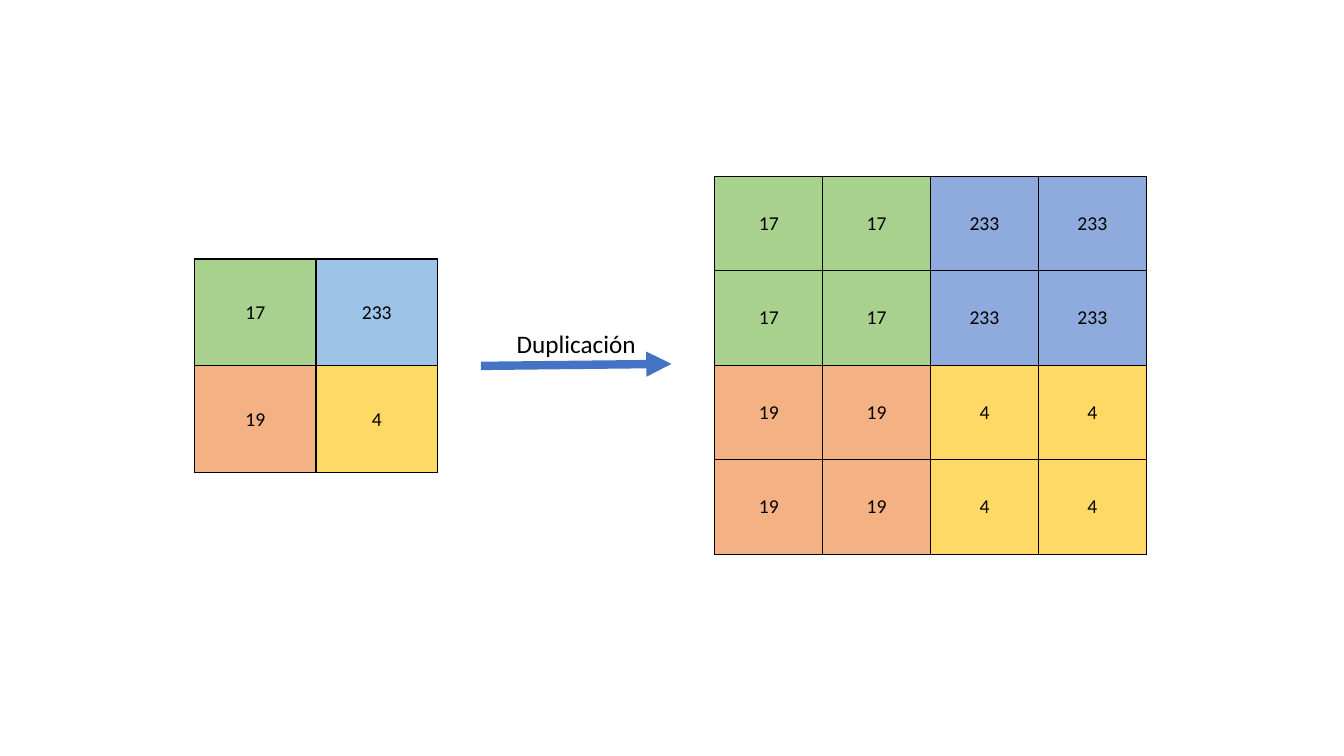
from lxml import etree
from pptx import Presentation
from pptx.dml.color import RGBColor
from pptx.enum import shapes, text
from pptx.oxml import ns
from pptx.util import Inches, Pt

BLACK = "000000"
GREEN, ORANGE, YELLOW = "A9D18E", "F4B183", "FFD966"
LIGHT_BLUE, BLUE, ARROW_BLUE = "9DC3E6", "8FAADC", "4472C4"
PIXELS = [["17", "233"], ["19", "4"]]


def color(value):
    return RGBColor.from_string(value)


def add_element(parent, tag, **attributes):
    return etree.SubElement(parent, ns.qn(tag), attributes)


def write(frame, content, size):
    paragraph = frame.paragraphs[0]
    paragraph.alignment = text.PP_ALIGN.CENTER
    run = paragraph.add_run()
    run.text = content
    for name, value in {"name": "Calibri", "size": Pt(size)}.items():
        setattr(run.font, name, value)
    run.font.color.rgb = color(BLACK)


def add_borders(cell):
    properties = cell._tc.get_or_add_tcPr()
    for side in ("a:lnL", "a:lnR", "a:lnT", "a:lnB"):
        line = add_element(properties, side, w=str(Pt(1)))
        add_element(add_element(line, "a:solidFill"), "a:srgbClr", val=BLACK)


def add_pixel_grid(slide, left, top, width, height, fills, repeat=1):
    """Draw the pixels as a table, each one repeated in both directions."""
    count = len(PIXELS) * repeat
    frame = slide.shapes.add_table(count, count, Inches(left), Inches(top),
                                   Inches(width), Inches(height))
    table = frame.table
    for name in ("first_row", "horz_banding"):
        setattr(table, name, False)
    for row in range(count):
        for column in range(count):
            value = PIXELS[row // repeat][column // repeat]
            cell = table.cell(row, column)
            cell.vertical_anchor = text.MSO_ANCHOR.MIDDLE
            add_borders(cell)
            cell.fill.solid()
            cell.fill.fore_color.rgb = color(fills[value])
            write(cell.text_frame, value, 14)


def add_arrow(slide, start, end):
    arrow = slide.shapes.add_connector(shapes.MSO_CONNECTOR.STRAIGHT,
                                       *map(Inches, start + end))
    arrow.line.color.rgb = color(ARROW_BLUE)
    arrow.line.width = Pt(6)
    add_element(arrow.line._get_or_add_ln(), "a:tailEnd", type="triangle")
    add_element(arrow._element.spPr, "a:effectLst")


def add_label(slide, content, left, top, width, height):
    frame = slide.shapes.add_textbox(Inches(left), Inches(top),
                                     Inches(width), Inches(height)).text_frame
    settings = {"word_wrap": True,
                "auto_size": text.MSO_AUTO_SIZE.SHAPE_TO_FIT_TEXT}
    for name, value in settings.items():
        setattr(frame, name, value)
    write(frame, content, 18)


def main():
    presentation = Presentation()
    presentation.slide_width = Inches(13.33)
    presentation.slide_height = Inches(7.5)
    slide = presentation.slides.add_slide(presentation.slide_layouts[6])

    fills = {"17": GREEN, "233": LIGHT_BLUE, "19": ORANGE, "4": YELLOW}
    add_pixel_grid(slide, 7.09, 1.75, 4.28, 3.75, {**fills, "233": BLUE}, repeat=2)
    add_pixel_grid(slide, 1.93, 2.57, 2.41, 2.12, fills)
    add_arrow(slide, (4.77, 3.63), (6.66, 3.61))
    add_label(slide, "Duplicación", 4.97, 3.21, 1.49, 0.4)
    presentation.save("out.pptx")


if __name__ == "__main__":
    main()
